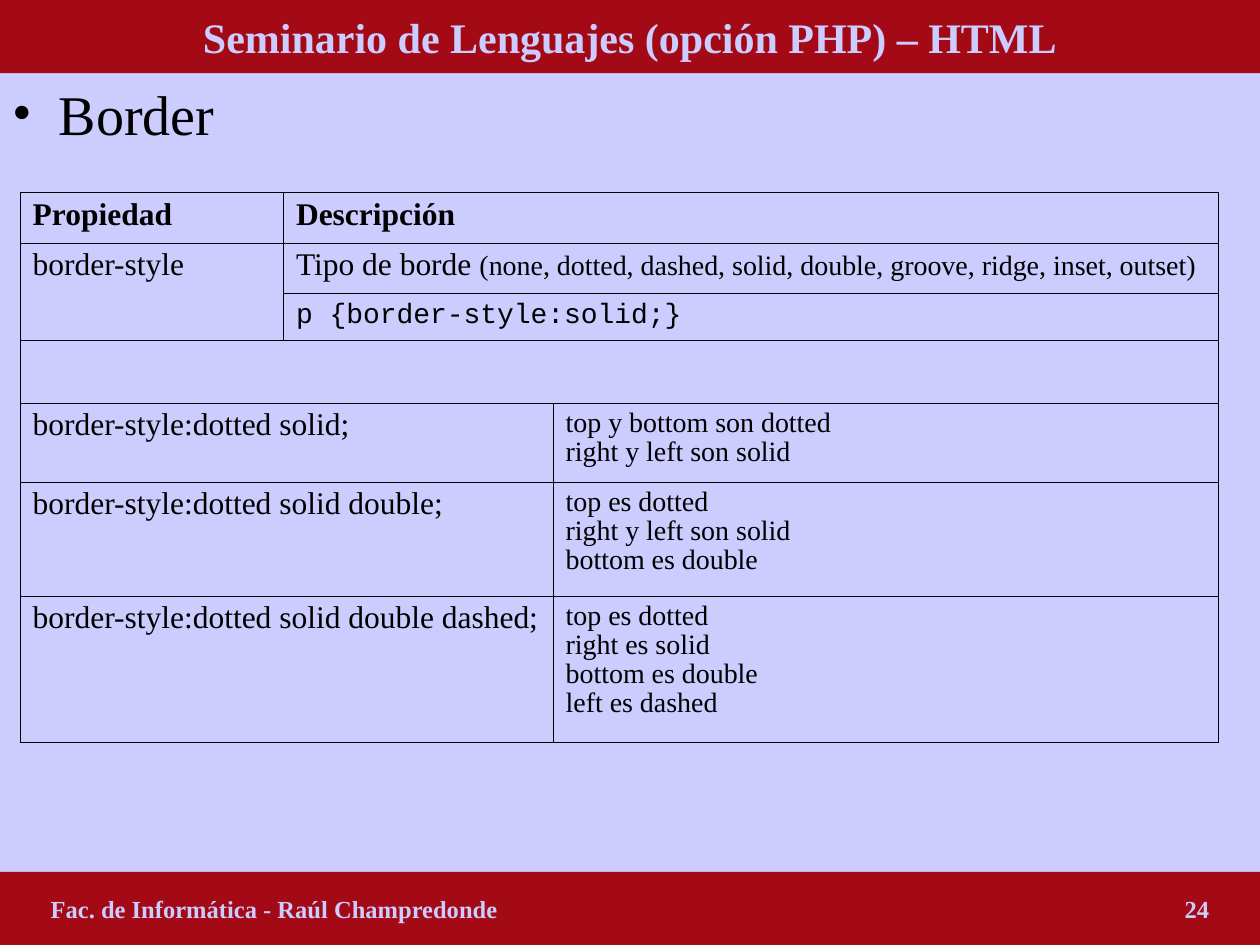
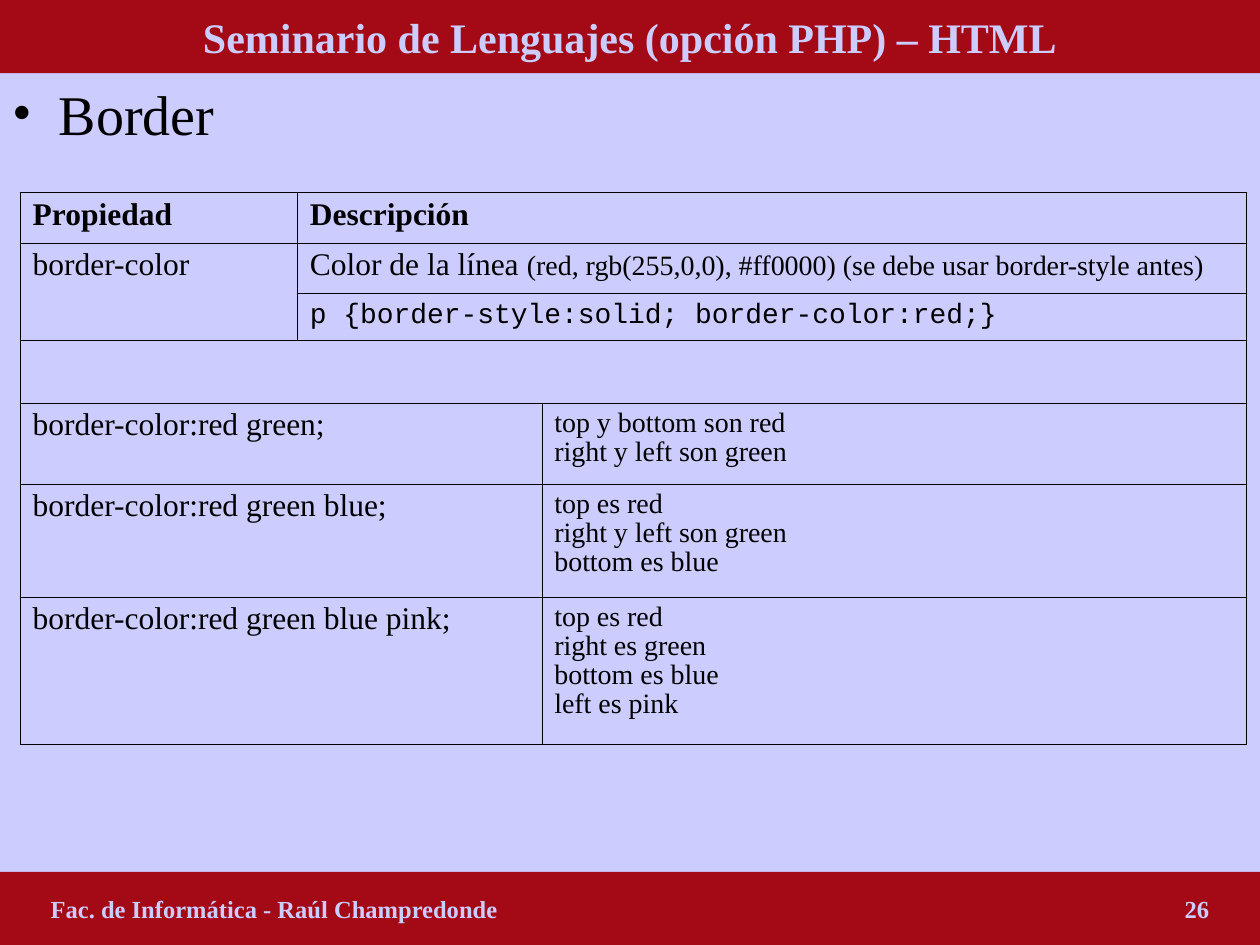
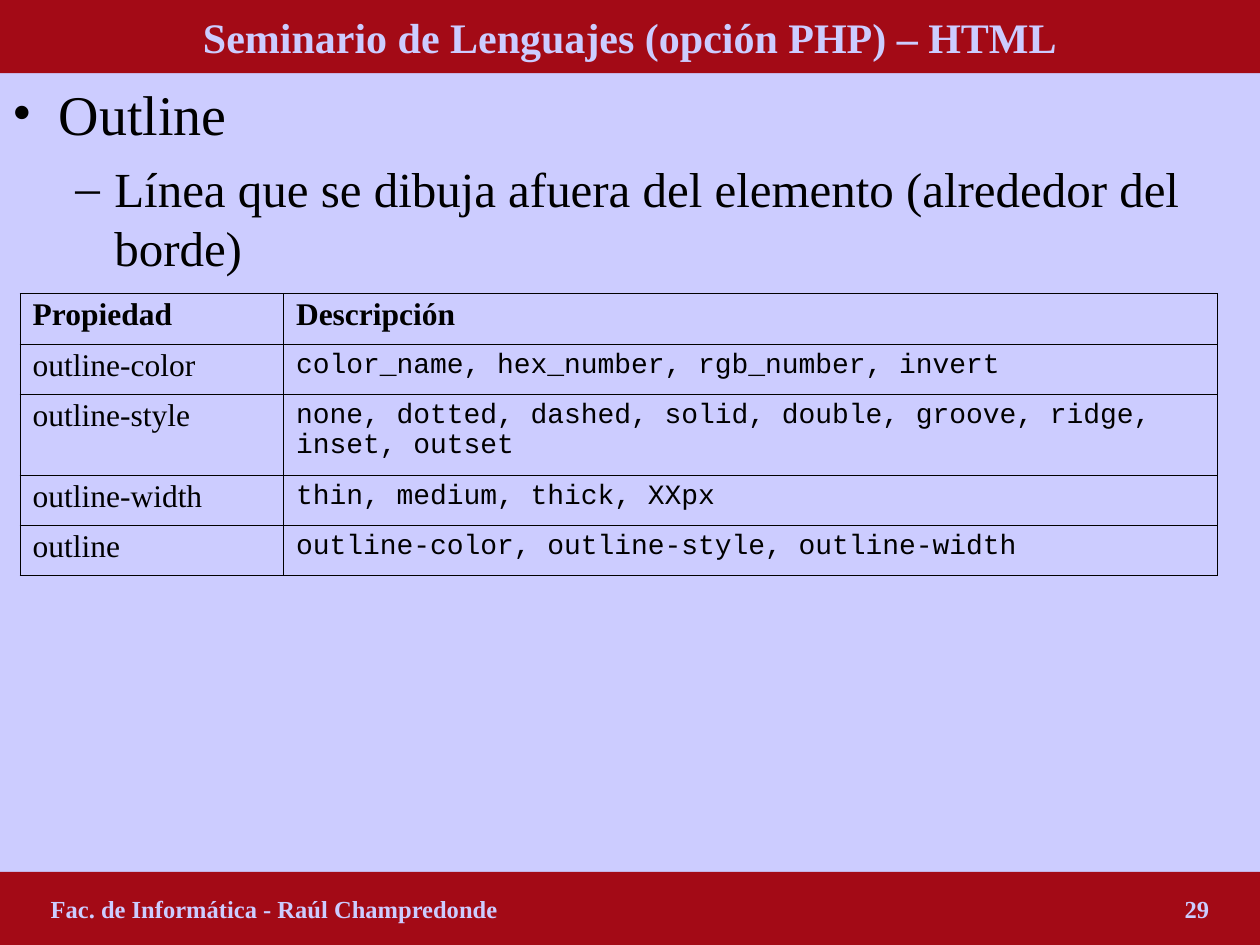
from typing import NamedTuple

from lxml.etree import SubElement
from pptx import Presentation
from pptx.dml.color import RGBColor
from pptx.enum.shapes import MSO_SHAPE
from pptx.enum.text import MSO_ANCHOR, PP_ALIGN
from pptx.oxml.ns import qn
from pptx.util import Inches, Pt

LAVENDER = RGBColor(0xCC, 0xCC, 0xFF)
CRIMSON = RGBColor(0xA3, 0x0A, 0x16)
BLACK = RGBColor(0, 0, 0)

GRID_COLUMNS, GRID_ROWS = 100, 75
MODULE = Inches(0.1)
BAND_ROWS = 5.8
TABLE_LEFT = 1.6
OUTER_RULE, INNER_RULE = Pt(0.5), Pt(0.23)

COURSE = "Seminario de Lenguajes (opción PHP) – HTML"
AUTHOR = "Fac. de Informática - Raúl Champredonde"


class TextStyle(NamedTuple):
    size: int
    font: str = "Times New Roman"
    bold: bool = False
    color: RGBColor = BLACK
    spacing: float = 0.93


COURSE_STYLE = TextStyle(24, bold=True, color=LAVENDER)
FOOTER_STYLE = TextStyle(14, bold=True, color=LAVENDER)
TOPIC = TextStyle(32)
SUBTOPIC = TextStyle(28)
HEADING = TextStyle(18, bold=True)
PROPERTY = TextStyle(18)
DETAIL = TextStyle(16)
CODE = TextStyle(16, font="Courier New", spacing=0.94)

# Level: style, bullet, left margin and hanging indent in grid modules
BULLETS = [(TOPIC, "•", 3.7, 3.7), (SUBTOPIC, "–", 8.1, 3.1)]


def grid(modules):
    return round(modules * MODULE)


class Deck:
    def __init__(self):
        self.presentation = Presentation()
        self.presentation.slide_width = grid(GRID_COLUMNS)
        self.presentation.slide_height = grid(GRID_ROWS)
        self.slide = None

    def add_slide(self, number, *topics):
        blank = self.presentation.slide_layouts[6]
        self.slide = self.presentation.slides.add_slide(blank)
        background = self.slide.background.fill
        background.solid()
        background.fore_color.rgb = LAVENDER
        self.bullets(topics)
        self.band(0, COURSE, COURSE_STYLE)
        self.band(GRID_ROWS - BAND_ROWS, AUTHOR + "\t" * 6 + str(number), FOOTER_STYLE)

    def add_text(self, paragraph, text, style):
        """Add one run per line of text, with line breaks between them."""
        for index, line in enumerate(text.split("\n")):
            if index:
                paragraph.add_line_break()
            run = paragraph.add_run()
            run.text = line
            run.font.size = Pt(style.size)
            run.font.name = style.font
            run.font.bold = style.bold
            run.font.color.rgb = style.color

    def band(self, top, text, style):
        band = self.slide.shapes.add_shape(
            MSO_SHAPE.RECTANGLE, 0, grid(top), grid(GRID_COLUMNS), grid(BAND_ROWS))
        band.shadow.inherit = False
        band.fill.solid()
        band.fill.fore_color.rgb = CRIMSON
        band.line.fill.background()
        band.text_frame.vertical_anchor = MSO_ANCHOR.MIDDLE
        paragraph = band.text_frame.paragraphs[0]
        paragraph.alignment = PP_ALIGN.CENTER
        tab_stops = SubElement(paragraph._p.get_or_add_pPr(), qn("a:tabLst"))
        for inch in range(1, 10):
            SubElement(tab_stops, qn("a:tab"), pos=str(Inches(inch)), algn="l")
        self.add_text(paragraph, text, style)

    def bullets(self, topics):
        """Put each topic one level deeper than the one before."""
        body = self.slide.shapes.add_textbox(
            0, grid(BAND_ROWS), grid(GRID_COLUMNS), grid(GRID_ROWS - 2 * BAND_ROWS))
        frame = body.text_frame
        frame.word_wrap = True
        for level, (topic, bullet) in enumerate(zip(topics, BULLETS)):
            style, mark, margin, hanging = bullet
            paragraph = frame.add_paragraph() if level else frame.paragraphs[0]
            paragraph.level = level
            paragraph.space_before = Pt(style.size / 4)
            properties = paragraph._p.get_or_add_pPr()
            properties.set("marL", str(grid(margin)))
            properties.set("indent", str(-grid(hanging)))
            color = SubElement(properties, qn("a:buClr"))
            SubElement(color, qn("a:srgbClr"), val=str(BLACK))
            SubElement(properties, qn("a:buFont"), typeface=style.font)
            SubElement(properties, qn("a:buChar"), char=mark)
            self.add_text(paragraph, topic, style)

    def table(self, top, widths, heights, entries, merges=()):
        """Entries map (row, column) to runs; merges pair first and last cells."""
        table = self.slide.shapes.add_table(
            len(heights), len(widths), grid(TABLE_LEFT), grid(top),
            grid(sum(widths)), grid(sum(heights))).table
        table.first_row = table.horz_banding = False
        for column, width in zip(table.columns, widths):
            column.width = grid(width)
        for row, height in zip(table.rows, heights):
            row.height = grid(height)
        for first, last in merges:
            table.cell(*first).merge(table.cell(*last))
        for row in range(len(heights)):
            for column in range(len(widths)):
                cell = table.cell(row, column)
                self.borders(cell, row, column, len(heights), len(widths))
                cell.fill.background()
        for position, runs in entries.items():
            paragraph = table.cell(*position).text_frame.paragraphs[0]
            closing_style = runs[-1][1]
            paragraph.line_spacing = closing_style.spacing
            paragraph.space_before = Pt(closing_style.size / 4)
            for text, style in runs:
                self.add_text(paragraph, text, style)

    def borders(self, cell, row, column, row_count, column_count):
        """Rule the cell, leaving the inside of merged areas open."""
        outer_sides = {
            "L": column == 0,
            "R": column + cell.span_width == column_count,
            "T": row == 0,
            "B": row + cell.span_height == row_count,
        }
        for side, is_outer in outer_sides.items():
            if cell.is_spanned and not is_outer:
                continue
            width = OUTER_RULE if is_outer else INNER_RULE
            line = SubElement(cell._tc.get_or_add_tcPr(), qn(f"a:ln{side}"), w=str(width))
            fill = SubElement(line, qn("a:solidFill"))
            SubElement(fill, qn("a:srgbClr"), val=str(BLACK))

    def property_table(self, top, widths, heights, entries, merges=()):
        headings = {
            (0, 0): [("Propiedad", HEADING)],
            (0, 1): [("Descripción", HEADING)],
        }
        self.table(top, widths, heights, headings | entries, merges)

    def border_table(self, widths, heights, name, meaning, values, sample, shorthands):
        """Describe a border property, then its forms with two to four values."""
        entries = {
            (1, 0): [(name, PROPERTY)],
            (1, 1): [(meaning, PROPERTY), (values, DETAIL)],
            (2, 1): [(sample, CODE)],
        }
        merges = [((0, 1), (0, 2)), ((1, 0), (2, 0)), ((1, 1), (1, 2)),
                  ((2, 1), (2, 2)), ((3, 0), (3, 2))]
        for row, (arguments, effect) in enumerate(shorthands, start=4):
            entries[row, 0] = [(f"{name}:{arguments};", PROPERTY)]
            entries[row, 2] = [(effect, DETAIL)]
            merges.append(((row, 0), (row, 1)))
        self.property_table(15.3, widths, heights, entries, merges)


def main():
    deck = Deck()

    deck.add_slide(24, "Border")
    deck.border_table(
        [20.9, 21.4, 52.8], [4, 4, 3.7, 5, 6.3, 9, 11.6],
        "border-style", "Tipo de borde ",
        "(none, dotted, dashed, solid, double, groove, ridge, inset, outset)",
        "p {border-style:solid;}",
        [("dotted solid", "top y bottom son dotted\nright y left son solid"),
         ("dotted solid double",
          "top es dotted\nright y left son solid\nbottom es double"),
         ("dotted solid double dashed",
          "top es dotted\nright es solid\nbottom es double\nleft es dashed")])

    deck.add_slide(26, "Border")
    deck.border_table(
        [22, 19.4, 55.9], [4, 4, 3.7, 5, 6.4, 9, 11.7],
        "border-color", "Color de la línea ",
        "(red, rgb(255,0,0), #ff0000) (se debe usar border-style antes)",
        "p {border-style:solid; border-color:red;}",
        [("red green", "top y bottom son red\nright y left son green"),
         ("red green blue", "top es red\nright y left son green\nbottom es blue"),
         ("red green blue pink",
          "top es red\nright es green\nbottom es blue\nleft es pink")])

    deck.add_slide(29, "Outline",
                   "Línea que se dibuja afuera del elemento (alrededor del borde)")
    outline_values = {
        "outline-color": "color_name, hex_number, rgb_number, invert",
        "outline-style":
            "none, dotted, dashed, solid, double, groove, ridge, inset, outset",
        "outline-width": "thin, medium, thick, XXpx",
        "outline": "outline-color, outline-style, outline-width",
    }
    entries = {}
    for row, (name, values) in enumerate(outline_values.items(), start=1):
        entries[row, 0] = [(name, PROPERTY)]
        entries[row, 1] = [(values, CODE)]
    deck.property_table(23.3, [20.9, 74.1], [4, 4, 6.4, 4, 4], entries)

    deck.presentation.save("out.pptx")


if __name__ == "__main__":
    main()
